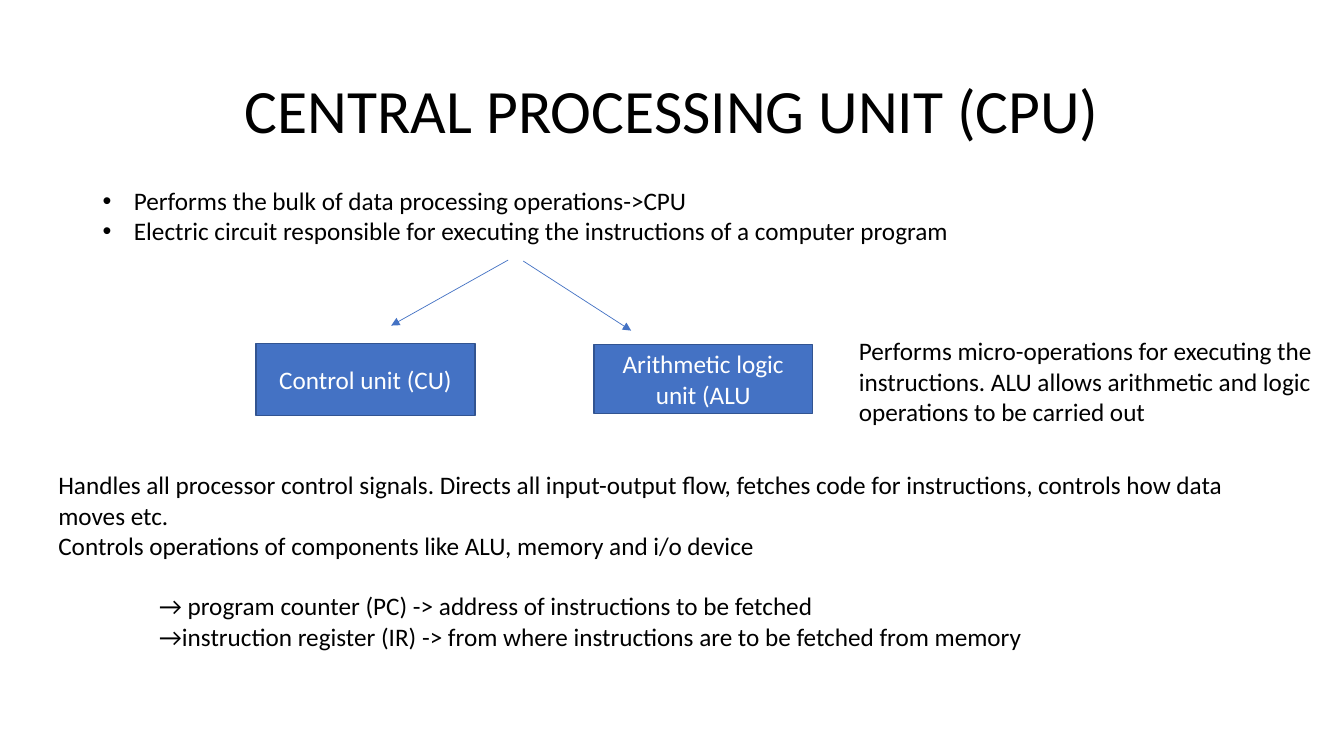
from lxml import etree
from pptx import Presentation
from pptx.dml.color import RGBColor
from pptx.enum.shapes import MSO_CONNECTOR, MSO_SHAPE
from pptx.enum.text import MSO_ANCHOR, PP_ALIGN
from pptx.oxml.ns import qn
from pptx.util import Inches, Pt

COLORS = {"text": "000000", "box": "4472C4", "outline": "325491", "box_text": "FFFFFF"}
FONT = "Calibri"


def color(name):
    return RGBColor.from_string(COLORS[name])


def inches(*lengths):
    return [Inches(length) for length in lengths]


def write_paragraph(paragraph, text, size=18, ink="text", align=PP_ALIGN.LEFT,
                    spacing=1.0, before=0, indent=0, hanging=0, bullet=None):
    run = paragraph.add_run()
    run.text = text
    run.font.name = FONT
    run.font.size = Pt(size)
    run.font.color.rgb = color(ink)
    paragraph.alignment = align
    paragraph.line_spacing = spacing
    paragraph.space_before = Pt(before)
    properties = paragraph._p.get_or_add_pPr()
    properties.set("marL", str(Inches(indent)))
    properties.set("indent", str(-Inches(hanging)))
    if bullet:
        etree.SubElement(properties, qn("a:buFont"), typeface="Arial")
        etree.SubElement(properties, qn("a:buChar"), char=bullet)


def add_title(slide, text, left, top, width, height):
    title = slide.shapes.title
    title.left, title.top, title.width, title.height = inches(left, top, width, height)
    title.text_frame.vertical_anchor = MSO_ANCHOR.MIDDLE
    write_paragraph(title.text_frame.paragraphs[0], text, size=44,
                    align=PP_ALIGN.CENTER, spacing=0.9)


def add_text(slide, lines, left, top, width, height):
    """Add a text box from pairs of text and paragraph format."""
    frame = slide.shapes.add_textbox(*inches(left, top, width, height)).text_frame
    frame.word_wrap = True
    for index, (text, style) in enumerate(lines):
        paragraph = frame.add_paragraph() if index else frame.paragraphs[0]
        write_paragraph(paragraph, text, **style)


def add_unit(slide, text, left, top, width, height):
    unit = slide.shapes.add_shape(MSO_SHAPE.RECTANGLE, *inches(left, top, width, height))
    unit.shadow.inherit = False
    unit.fill.solid()
    unit.fill.fore_color.rgb = color("box")
    unit.line.color.rgb = color("outline")
    unit.line.width = Pt(1)
    unit.text_frame.word_wrap = True
    unit.text_frame.vertical_anchor = MSO_ANCHOR.MIDDLE
    write_paragraph(unit.text_frame.paragraphs[0], text, ink="box_text",
                    align=PP_ALIGN.CENTER)


def add_arrow(slide, *ends):
    arrow = slide.shapes.add_connector(MSO_CONNECTOR.STRAIGHT, *inches(*ends))
    arrow.line.color.rgb = color("box")
    arrow.line.width = Pt(0.5)
    etree.SubElement(arrow.line._get_or_add_ln(), qn("a:tailEnd"), type="triangle")
    etree.SubElement(arrow._element.spPr, qn("a:effectLst"))


def main():
    presentation = Presentation()
    presentation.slide_width, presentation.slide_height = inches(13.33, 7.5)
    slide = presentation.slides.add_slide(presentation.slide_layouts[5])

    add_title(slide, "CENTRAL PROCESSING UNIT (CPU)", 0.92, 0.4, 11.5, 1.45)
    bulleted = {"indent": 0.31, "hanging": 0.31, "bullet": "•"}
    add_text(slide, [
        ("Performs the bulk of data processing operations->CPU", bulleted),
        ("Electric circuit responsible for executing the instructions of a computer program",
         bulleted),
    ], 0.92, 1.79, 11.61, 0.71)

    add_arrow(slide, 5.04, 2.58, 3.88, 3.23)
    add_arrow(slide, 5.19, 2.59, 6.26, 3.28)
    add_unit(slide, "Control unit (CU)", 2.54, 3.41, 2.17, 0.71)
    add_unit(slide, "Arithmetic logic unit (ALU", 5.89, 3.42, 2.17, 0.68)

    add_text(slide, [
        ("Performs micro-operations for executing the instructions. "
         "ALU allows arithmetic and logic operations to be carried out", {}),
    ], 8.42, 3.28, 4.75, 1.01)
    add_text(slide, [
        ("Handles all processor control signals. Directs all input-output flow, "
         "fetches code for instructions, controls how data moves etc.", {}),
        ("Controls operations of components like ALU, memory and i/o device", {}),
        ("→ program counter (PC) -> address of instructions to be fetched",
         {"indent": 1, "before": 21.6}),
        ("→instruction register (IR) -> from where instructions are to be fetched from memory",
         {"indent": 1}),
    ], 0.48, 4.61, 12.19, 2.22)

    presentation.save("out.pptx")


if __name__ == "__main__":
    main()
